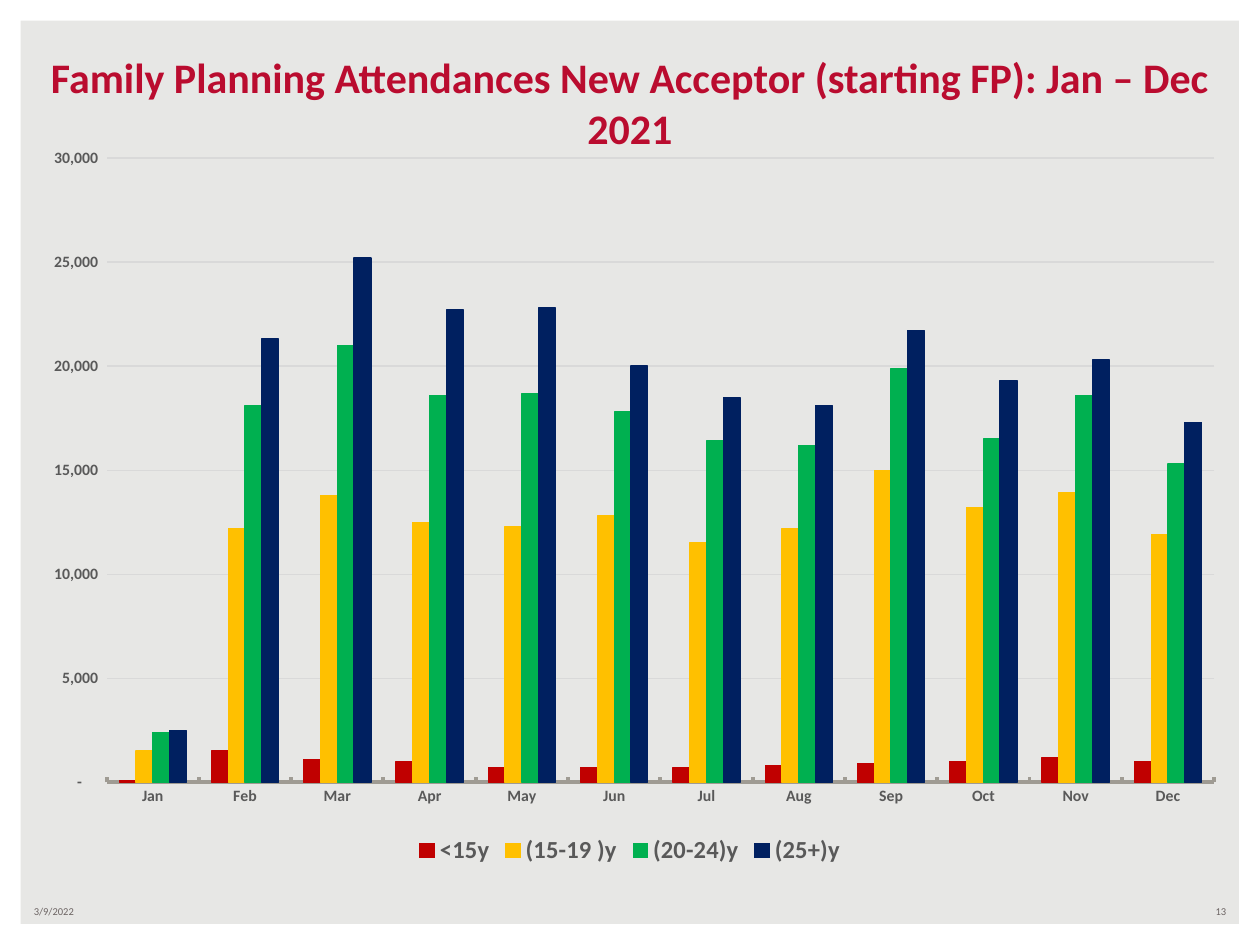
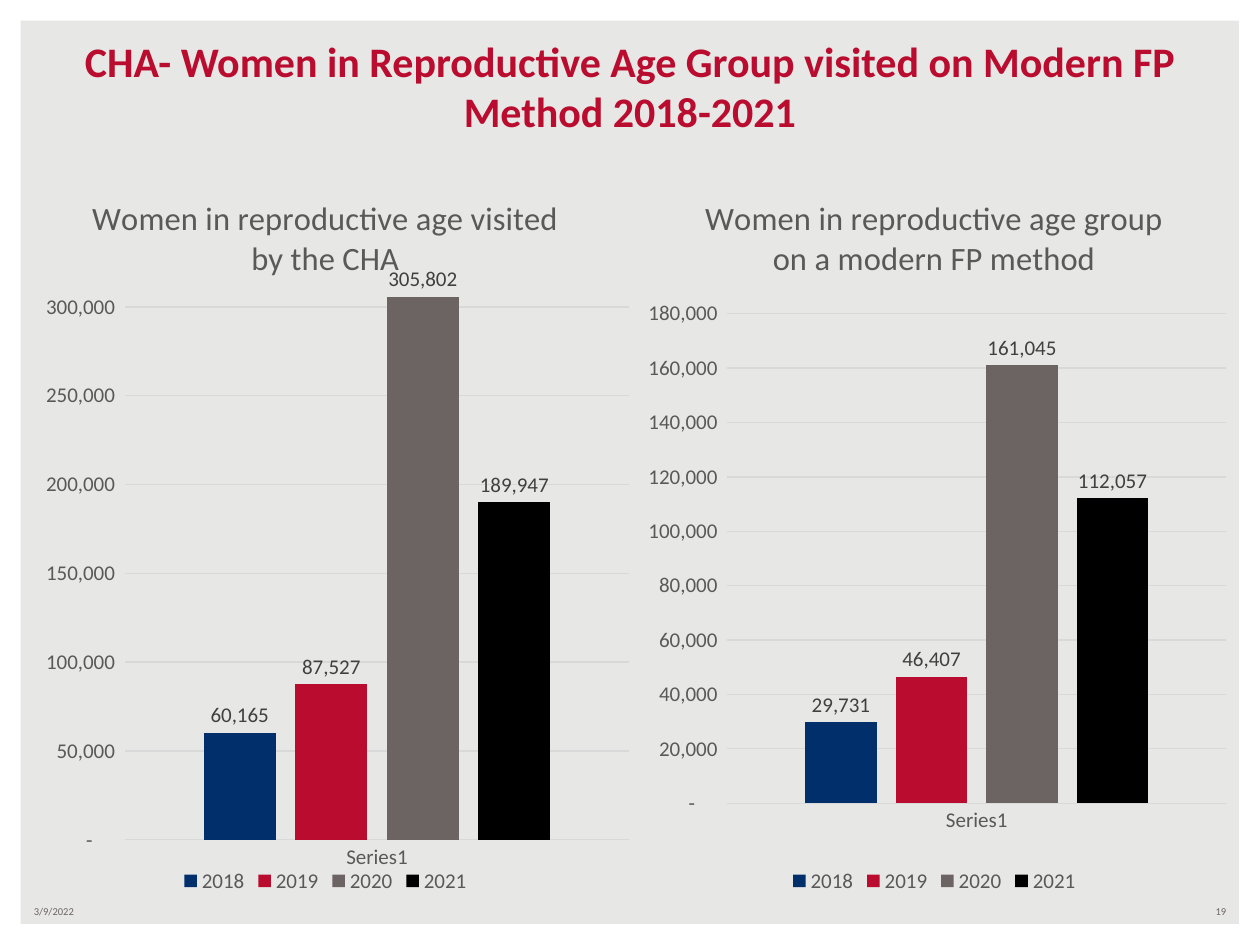
from lxml.etree import SubElement
from pptx import Presentation
from pptx.chart.data import CategoryChartData as Data
from pptx.dml.color import RGBColor
from pptx.enum.chart import XL_CHART_TYPE as Kind, XL_LABEL_POSITION as Spot
from pptx.enum.chart import XL_LEGEND_POSITION as Side, XL_TICK_MARK as Tick
from pptx.enum.shapes import MSO_SHAPE as Form
from pptx.enum.text import MSO_ANCHOR as Anchor, PP_ALIGN as Align
from pptx.oxml.ns import qn
from pptx.util import Inches, Pt

WIDE, HIGH = 10, 7.5
EDGE = 0.17
FONT = "Calibri"
RED, NAVY, GRAY, BLACK = "BA0C2F", "002F6C", "6C6463", "000000"
PAPER, WHITE, INK, DARK, GRID = "E7E7E5", "FFFFFF", "595959", "404040", "D9D9D9"
NUMBER = '_(* #,##0_);_(* \\(#,##0\\);_(* "-"??_);_('
DATE = "3/9/2022"
HALF = WIDE / 2 - EDGE

MONTHS = ["Jan", "Feb", "Mar", "Apr", "May", "Jun",
          "Jul", "Aug", "Sep", "Oct", "Nov", "Dec"]
AGES = [
    ("<15y", "C00000", [100, 1500, 1100, 1000, 700, 700,
                        700, 800, 900, 1000, 1200, 1000]),
    ("(15-19 )y", "FFC000", [1500, 12200, 13800, 12500, 12300, 12800,
                             11500, 12200, 15000, 13200, 13900, 11900]),
    ("(20-24)y", "00B050", [2400, 18100, 21000, 18600, 18700, 17800,
                            16400, 16200, 19900, 16500, 18600, 15300]),
    ("(25+)y", "002060", [2500, 21300, 25200, 22700, 22800, 20000,
                          18500, 18100, 21700, 19300, 20300, 17300]),
]
YEARS = [("2018", NAVY), ("2019", RED), ("2020", GRAY), ("2021", BLACK)]

# title, counts by year, axis top, axis step, plot area as shares of the chart
VISITS = [
    ("Women in reproductive age visited by the CHA",
     [60165, 87527, 305802, 189947], 325000, 50000, (0.17, 0.13, 0.83, 0.79)),
    ("Women in reproductive age group on a modern FP method",
     [29731, 46407, 161045, 112057], 180000, 20000, (0.16, 0.2, 0.82, 0.67)),
]


def color(code):
    return RGBColor.from_string(code)


def style(font, size, code, bold=False):
    font.name, font.size, font.bold = FONT, Pt(size), bold
    font.color.rgb = color(code)


def rule(line, code, width):
    line.color.rgb = color(code)
    line.width = Pt(width)


def write(slide, text, box, size, code, align, anchor, bold=False):
    frame = slide.shapes.add_textbox(*map(Inches, box)).text_frame
    frame.word_wrap = True
    frame.vertical_anchor = anchor
    frame.text = text
    para = frame.paragraphs[0]
    para.alignment = align
    style(para.runs[0].font, size, code, bold)


def start(deck, title, box, number):
    """Add a slide with the shared frame, footers and title."""
    slide = deck.slides.add_slide(deck.slide_layouts[6])
    slide.background.fill.solid()
    slide.background.fill.fore_color.rgb = color(PAPER)
    frame = slide.shapes.add_shape(Form.FRAME, 0, 0, Inches(WIDE), Inches(HIGH))
    frame.adjustments[0] = 0.022
    frame.shadow.inherit = False
    frame.fill.solid()
    frame.fill.fore_color.rgb = color(WHITE)
    frame.line.fill.background()
    foot = WIDE / 4 - EDGE
    for text, left, align in [(DATE, EDGE, Align.LEFT),
                              (number, WIDE * 3 / 4, Align.RIGHT)]:
        write(slide, text, (left, 7.13, foot, 0.2), 6, GRAY, align, Anchor.MIDDLE)
    write(slide, title, box, 24, RED, Align.CENTER, Anchor.BOTTOM, True)
    return slide


def place(chart, area):
    """Fix the inner plot area, given as shares of the chart."""
    plot = chart._chartSpace.chart.plotArea
    for old in plot.findall(qn("c:layout")):
        plot.remove(old)
    layout = SubElement(plot, qn("c:layout"))
    plot.insert(0, layout)
    manual = SubElement(layout, qn("c:manualLayout"))
    parts = [("layoutTarget", "inner"), ("xMode", "edge"), ("yMode", "edge")]
    for tag, val in parts + list(zip("xywh", area)):
        SubElement(manual, qn("c:" + tag)).set("val", str(val))


def columns(slide, box, cats, rows, top, step, area, size, key, bold=False):
    """Draw clustered columns; rows hold name, colour and values."""
    data = Data(number_format=NUMBER)
    data.categories = cats
    for name, _, vals in rows:
        data.add_series(name, vals)
    chart = slide.shapes.add_chart(
        Kind.COLUMN_CLUSTERED, *map(Inches, box), data).chart
    style(chart.font, 10, BLACK, bold)
    chart.has_title = False
    chart.has_legend = True
    chart.legend.position = Side.BOTTOM
    chart.legend.include_in_layout = False
    style(chart.legend.font, key, INK, bold)
    for axis in (chart.category_axis, chart.value_axis):
        axis.major_tick_mark = axis.minor_tick_mark = Tick.NONE
        style(axis.tick_labels.font, size, INK, bold)
    rule(chart.category_axis.format.line, GRID, 0.75)
    axis = chart.value_axis
    axis.minimum_scale, axis.maximum_scale, axis.major_unit = 0, top, step
    axis.tick_labels.number_format = NUMBER
    axis.tick_labels.number_format_is_linked = False
    axis.format.line.fill.background()
    rule(axis.major_gridlines.format.line, GRID, 0.75)
    chart.plots[0].vary_by_categories = False
    for part, (_, code, _) in zip(chart.plots[0].series, rows):
        part.invert_if_negative = False
        part.format.fill.solid()
        part.format.fill.fore_color.rgb = color(code)
    place(chart, area)
    return chart


def monthly(deck):
    slide = start(
        deck,
        "Family Planning Attendances New Acceptor (starting FP): Jan – Dec 2021",
        (0.25, 0.35, 9.5, 0.91), "13")
    chart = columns(slide, (EDGE, 1.08, 2 * HALF, 5.83), MONTHS, AGES,
                    30000, 5000, (0.07, 0.03, 0.91, 0.85), 9, 14, True)
    chart.plots[0].gap_width = 150
    chart.category_axis.minor_tick_mark = Tick.INSIDE
    rule(chart.category_axis.format.line, "9F9B93", 2.25)
    for part, (_, code, _) in zip(chart.plots[0].series, AGES):
        rule(part.format.line, code, 0.75)


def yearly(deck):
    slide = start(
        deck,
        "CHA- Women in Reproductive Age Group visited on Modern FP Method 2018-2021",
        (EDGE, 0.22, 2 * HALF, 0.91), "19")
    for col, (title, counts, top, step, area) in enumerate(VISITS):
        rows = [(*year, [count]) for year, count in zip(YEARS, counts)]
        chart = columns(slide, (EDGE + col * HALF, 1.33, HALF, 5.8),
                        ["Series1"], rows, top, step, area, 12, 12)
        frame = chart.chart_title.text_frame
        frame.text = title
        style(frame.paragraphs[0].runs[0].font, 18.6, INK)
        plot = chart.plots[0]
        plot.gap_width, plot.overlap = 219, -27
        for part in plot.series:
            labels = part.data_labels
            labels.show_value = True
            labels.position = Spot.OUTSIDE_END
            style(labels.font, 12, DARK)


def main():
    deck = Presentation()
    deck.slide_width, deck.slide_height = Inches(WIDE), Inches(HIGH)
    monthly(deck)
    yearly(deck)
    deck.save("out.pptx")


if __name__ == "__main__":
    main()
